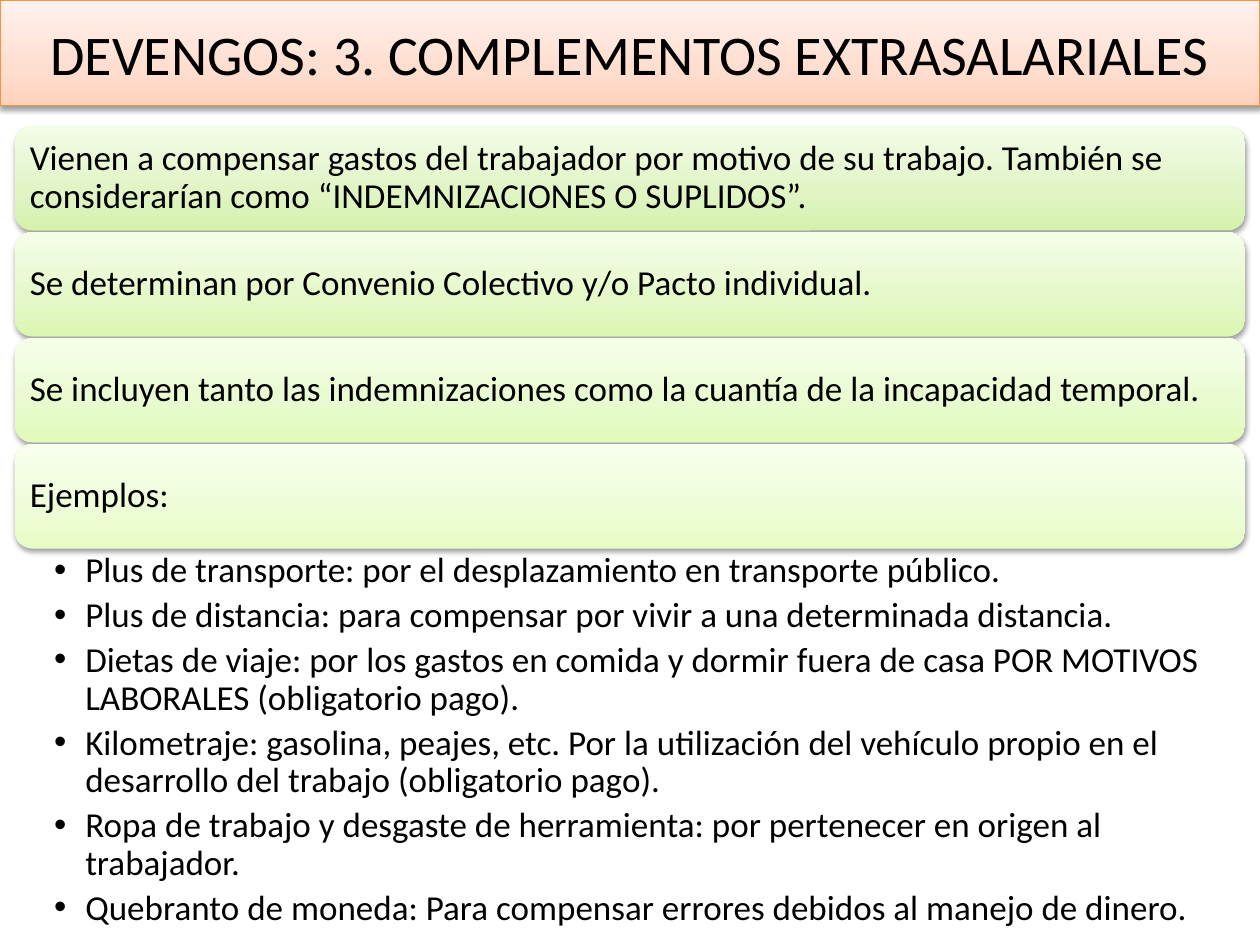
import pptx
import pptx.dml.color
import pptx.enum.shapes
import pptx.enum.text
import pptx.oxml
import pptx.oxml.ns
import pptx.util

Cm = pptx.util.Cm
Pt = pptx.util.Pt
Shape = pptx.enum.shapes.MSO_SHAPE
Align = pptx.enum.text.PP_ALIGN
Anchor = pptx.enum.text.MSO_ANCHOR

FONT = "Calibri"
COLORS = {"text": "000000", "title_line": "F69240", "shadow": "000000"}

# Gradient colours from bottom to top
STOPS = (0, 35, 100)
TITLE_GRADIENT = ("FFD2BD", "FFDED0", "FFF2ED")

TITLE = "DEVENGOS: 3. COMPLEMENTOS EXTRASALARIALES"
CARDS = [
    ("Vienen a compensar gastos del trabajador por motivo de su trabajo. "
     "También se considerarían como “INDEMNIZACIONES O SUPLIDOS”.",
     ("D4F1AB", "E0F4C4", "F3FCE8")),
    ("Se determinan por Convenio Colectivo y/o Pacto individual.",
     ("DAF7B0", "E4F8C8", "F5FDE9")),
    ("Se incluyen tanto las indemnizaciones como la cuantía de la incapacidad temporal.",
     ("E0FAB9", "E8FBCE", "F6FEEB")),
    ("Ejemplos:", ("E6FCC6", "EDFDD6", "F8FFEE")),
]
EXAMPLES = [
    "Plus de transporte: por el desplazamiento en transporte público.",
    "Plus de distancia: para compensar por vivir a una determinada distancia.",
    "Dietas de viaje: por los gastos en comida y dormir fuera de casa "
    "POR MOTIVOS LABORALES (obligatorio pago).",
    "Kilometraje: gasolina, peajes, etc. Por la utilización del vehículo propio "
    "en el desarrollo del trabajo (obligatorio pago).",
    "Ropa de trabajo y desgaste de herramienta: por pertenecer en origen al trabajador.",
    "Quebranto de moneda: Para compensar errores debidos al manejo de dinero.",
]


def rgb(name):
    return pptx.dml.color.RGBColor.from_string(COLORS[name])


def parse_drawing(markup):
    """Parse markup whose root tag still lacks the drawing namespace."""
    tag, rest = markup.split(" ", 1)
    return pptx.oxml.parse_xml(f"{tag} {pptx.oxml.ns.nsdecls('a')} {rest}")


def add_panel(page, kind, left, top, width, height, gradient):
    """Add a shape with a vertical gradient and a soft shadow."""
    panel = page.shapes.add_shape(kind, Cm(left), Cm(top), Cm(width), Cm(height))
    panel.fill.gradient()
    panel.fill.gradient_angle = 90
    stops = panel.element.spPr.find(".//" + pptx.oxml.ns.qn("a:gsLst"))
    stops.clear()
    for position, color in zip(STOPS, gradient):
        stops.append(parse_drawing(
            f'<a:gs pos="{position * 1000}"><a:srgbClr val="{color}"/></a:gs>'))
    panel.line.fill.background()
    panel.shadow.inherit = False
    effects = panel.element.spPr.find(pptx.oxml.ns.qn("a:effectLst"))
    effects.append(parse_drawing(
        f'<a:outerShdw blurRad="{Pt(3.1)}" dist="{Pt(1.6)}" dir="5400000" rotWithShape="0">'
        f'<a:srgbClr val="{COLORS["shadow"]}"><a:alpha val="38000"/></a:srgbClr>'
        '</a:outerShdw>'))
    return panel


def set_frame(box, anchor, left, top, right, bottom):
    """Set wrapping, anchor and margins, and return the text frame."""
    frame = box.text_frame
    frame.word_wrap = True
    frame.vertical_anchor = anchor
    frame.margin_left, frame.margin_top = Cm(left), Cm(top)
    frame.margin_right, frame.margin_bottom = Cm(right), Cm(bottom)
    return frame


def add_span(para, text, size):
    span = para.add_run()
    span.text = text
    span.font.name = FONT
    span.font.size = Pt(size)
    span.font.color.rgb = rgb("text")


def add_title(page, left, top, width, height):
    banner = add_panel(page, Shape.RECTANGLE, left, top, width, height, TITLE_GRADIENT)
    banner.line.color.rgb = rgb("title_line")
    banner.line.width = Pt(0.75)
    para = set_frame(banner, Anchor.MIDDLE, 0.25, 0.13, 0.25, 0.13).paragraphs[0]
    para.alignment = Align.CENTER
    add_span(para, TITLE, 32)


def add_cards(page, left, top, width, height):
    """Stack the cards evenly in the given box."""
    gap = 0.03
    card_height = (height - gap * (len(CARDS) - 1)) / len(CARDS)
    for index, (text, gradient) in enumerate(CARDS):
        card = add_panel(page, Shape.ROUNDED_RECTANGLE, left,
                         top + index * (card_height + gap), width, card_height, gradient)
        para = set_frame(card, Anchor.MIDDLE, 0.2, 0.2, 0.2, 0.2).paragraphs[0]
        para.alignment = Align.LEFT
        para.line_spacing = 0.9
        add_span(para, text, 20)


def add_examples(page, left, top, width, height):
    box = page.shapes.add_textbox(Cm(left), Cm(top), Cm(width), Cm(height))
    frame = set_frame(box, Anchor.TOP, 0.79, 0.08, 0.41, 0.08)
    indent = Cm(0.63)
    for index, text in enumerate(EXAMPLES):
        para = frame.paragraphs[0] if index == 0 else frame.add_paragraph()
        para.level = 1
        para.line_spacing = 0.9
        para.space_after = Pt(4)
        properties = para._p.get_or_add_pPr()
        properties.set("marL", str(indent))
        properties.set("indent", str(-indent))
        properties.append(parse_drawing('<a:buFont typeface="Arial"/>'))
        properties.append(parse_drawing('<a:buChar char="•"/>'))
        add_span(para, text, 20)


def main():
    deck = pptx.Presentation()
    deck.slide_width, deck.slide_height = Cm(25.4), Cm(19.05)
    page = deck.slides.add_slide(deck.slide_layouts[6])
    add_title(page, 0, 0, 25.4, 2.13)
    add_cards(page, 0.3, 2.54, 24.8, 8.52)
    add_examples(page, 0.3, 11.06, 24.8, 7.65)
    deck.save("out.pptx")


if __name__ == "__main__":
    main()
